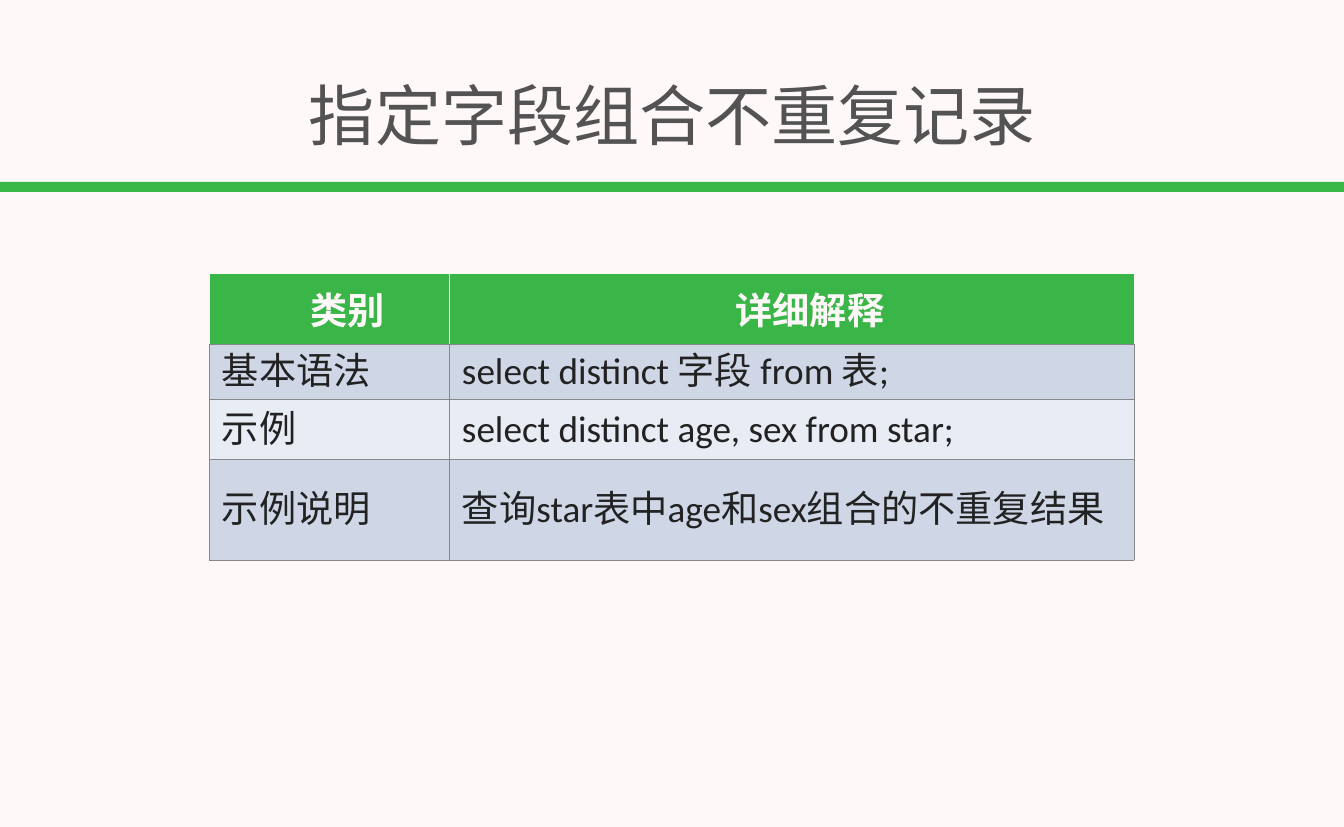
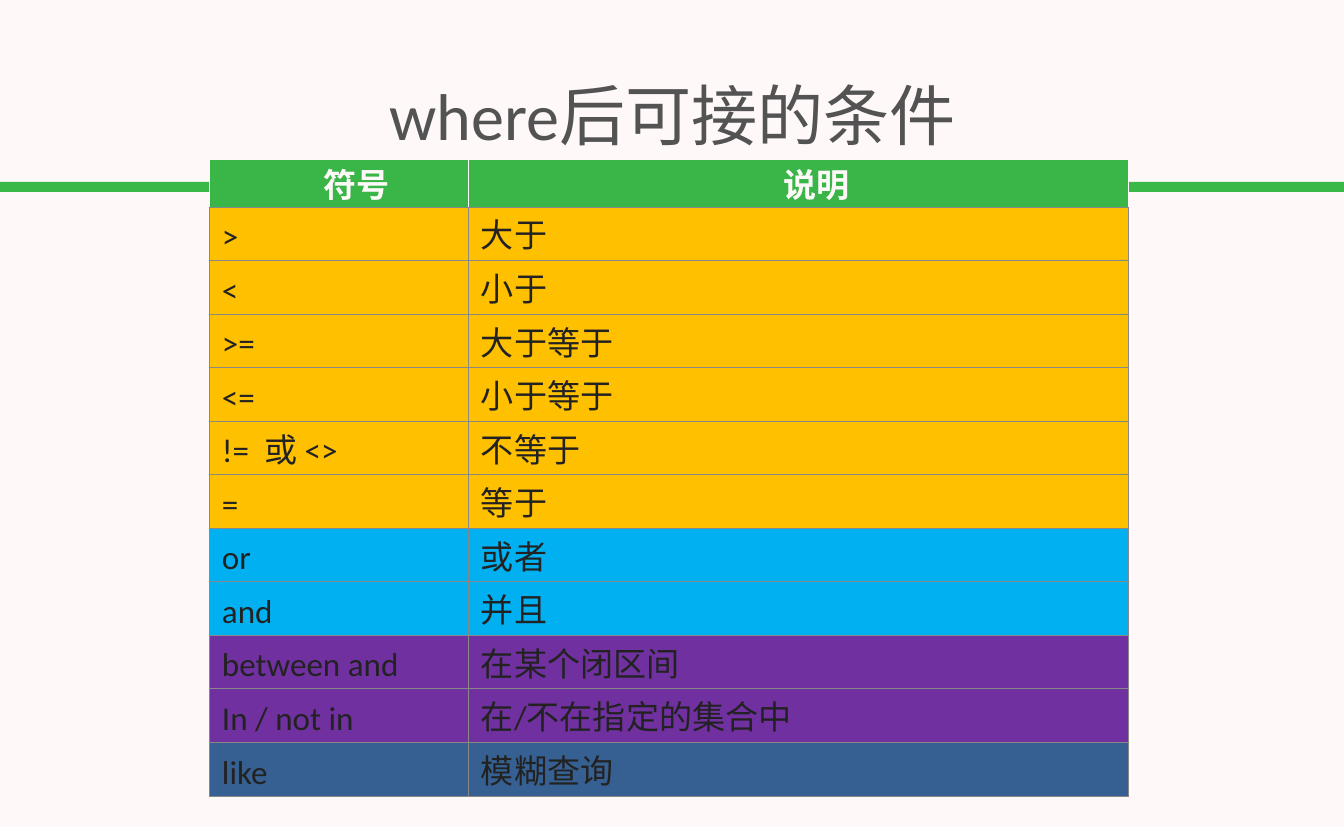
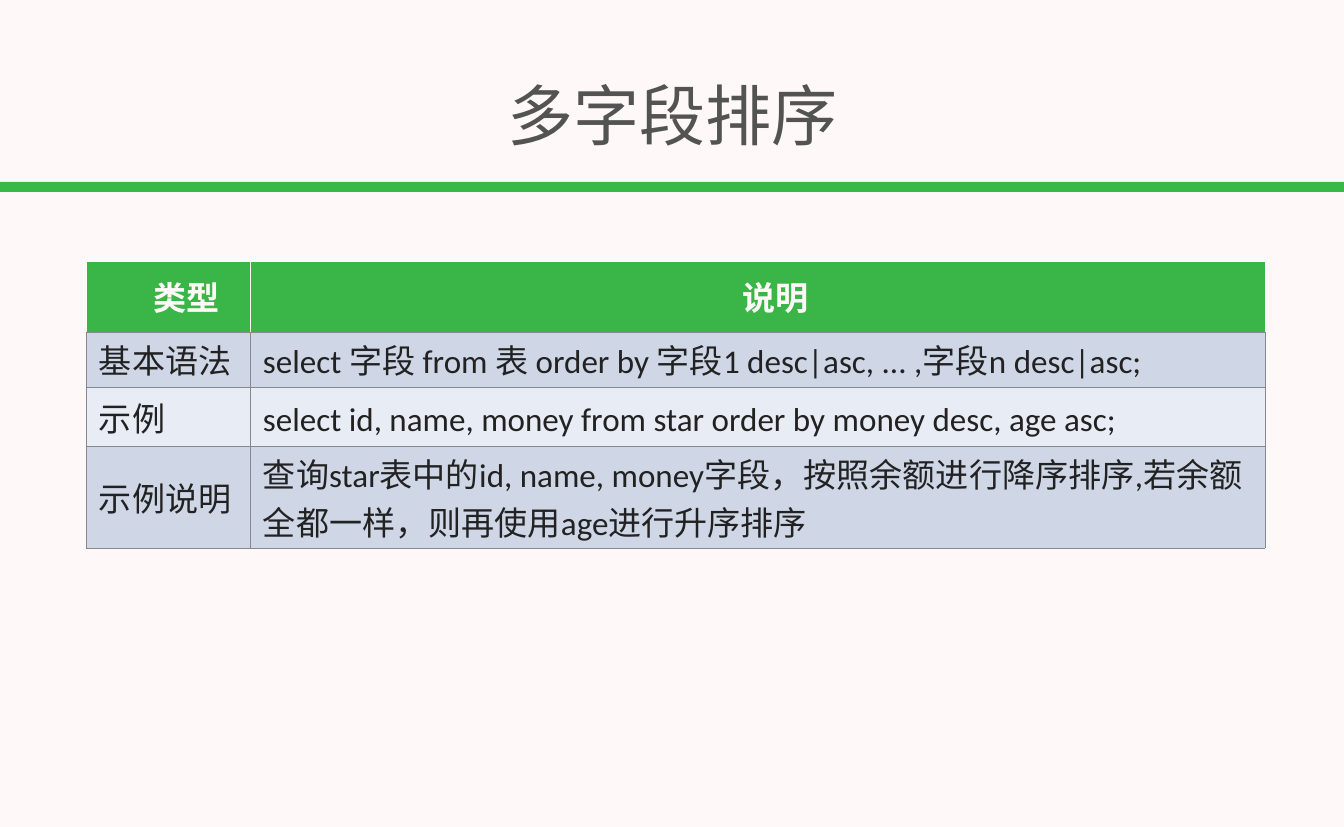
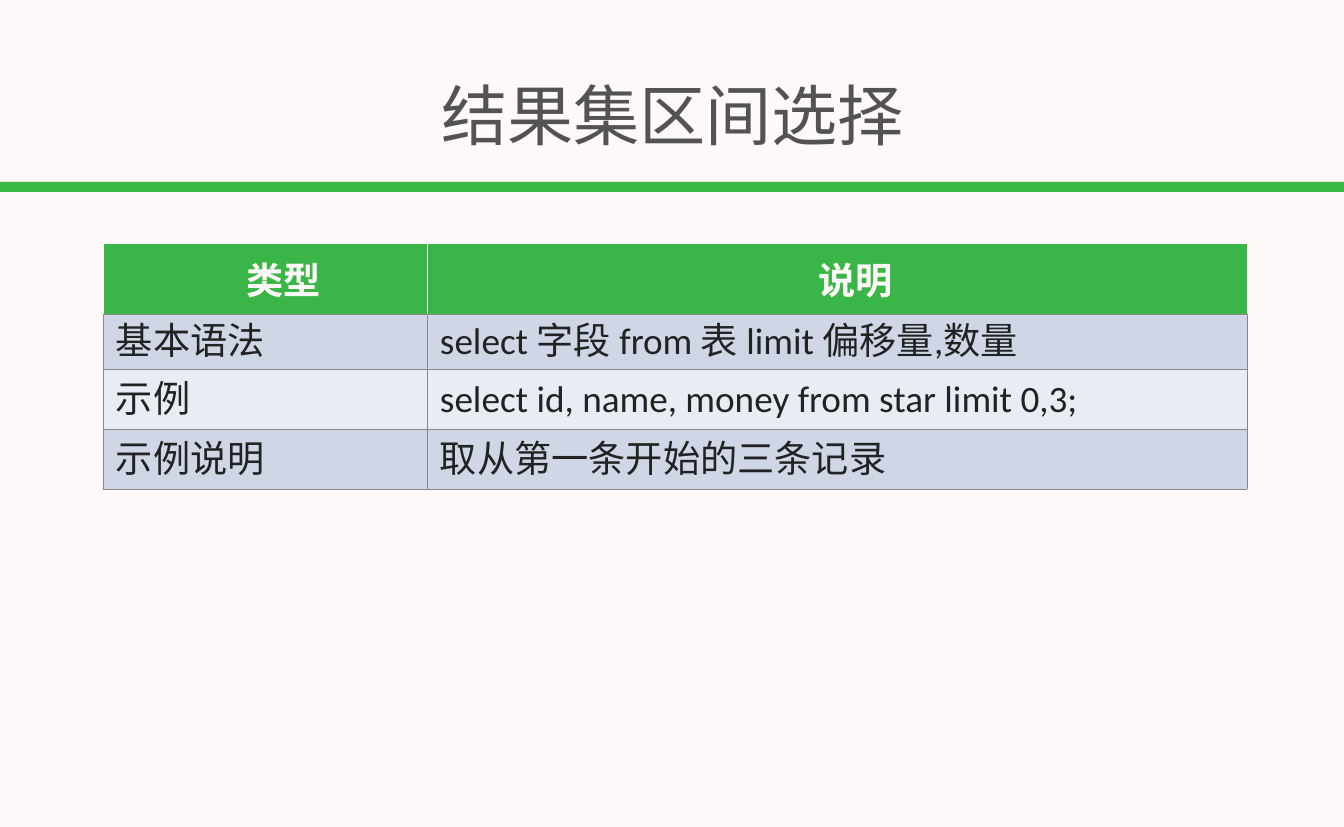
import pptx
import pptx.dml.color
import pptx.enum.shapes
import pptx.enum.text
import pptx.oxml
import pptx.oxml.ns
import pptx.util

PX = 12290
SLIDE_WIDTH, SLIDE_HEIGHT = 1344, 827
FONT = "Calibri"
COLORS = {
    "background": "FFF8F8",
    "band": "39B747",
    "title": "535353",
    "header": "39B647",
    "text": "222222",
    "border": "888888",
    "odd": "CFD7E7",
    "even": "E8ECF4",
    "comparison": "FFC000",
    "logic": "00B0F0",
    "range": "7030A0",
    "pattern": "376092",
}
BAND_BOX = (-1, 182, 1346, 10)
TITLE_BOX = (4, 61, 1337, 106)
SYNTAX_ROWS = (71, 55, 60, 60)
SYNTAX_FILLS = ("odd", "even", "odd")
CONDITION_FILLS = ("comparison",) * 6 + ("logic",) * 2 + ("range",) * 2 + ("pattern",)

SLIDES = [
    {
        "title": "指定字段组合不重复记录",
        "origin": (209, 273),
        "columns": (240, 685),
        "rows": SYNTAX_ROWS,
        "size": 36,
        "fills": SYNTAX_FILLS,
        "cells": [
            ("类别", "详细解释"),
            ("基本语法", "select distinct 字段 from 表;"),
            ("示例", "select distinct age, sex from star;"),
            ("示例说明", "查询star表中age和sex组合的不重复结果"),
        ],
    },
    {
        "title": "where后可接的条件",
        "origin": (209, 159),
        "columns": (259, 661),
        "rows": (48,) + (53,) * len(CONDITION_FILLS),
        "size": 32,
        "fills": CONDITION_FILLS,
        "cells": [
            ("符号", "说明"),
            (">", "大于"),
            ("<", "小于"),
            (">=", "大于等于"),
            ("<=", "小于等于"),
            ("!=  或 <>", "不等于"),
            ("=", "等于"),
            ("or", "或者"),
            ("and", "并且"),
            ("between and", "在某个闭区间"),
            ("In / not in", "在/不在指定的集合中"),
            ("like", "模糊查询"),
        ],
    },
    {
        "title": "多字段排序",
        "origin": (86, 261),
        "columns": (164, 1015),
        "rows": SYNTAX_ROWS,
        "size": 32,
        "fills": SYNTAX_FILLS,
        "cells": [
            ("类型", "说明"),
            ("基本语法", "select 字段 from 表 order by 字段1 desc|asc, ... ,字段n desc|asc;"),
            ("示例", "select id, name, money from star order by money desc, age asc;"),
            ("示例说明", "查询star表中的id, name, money字段，按照余额进行降序排序,若余额全都一样，则再使用age进行升序排序"),
        ],
    },
    {
        "title": "结果集区间选择",
        "origin": (103, 243),
        "columns": (324, 820),
        "rows": SYNTAX_ROWS,
        "size": 36,
        "fills": SYNTAX_FILLS,
        "cells": [
            ("类型", "说明"),
            ("基本语法", "select 字段 from 表 limit 偏移量,数量"),
            ("示例", "select id, name, money from star limit 0,3;"),
            ("示例说明", "取从第一条开始的三条记录"),
        ],
    },
]


def px(*lengths):
    """Turn px lengths into a list of EMU."""
    return [pptx.util.Emu(length * PX) for length in lengths]


def paint(fill, color):
    """Make a fill solid in a named colour."""
    fill.solid()
    fill.fore_color.rgb = pptx.dml.color.RGBColor.from_string(COLORS[color])


def style_paragraph(paragraph, size, color, bold=False):
    """Set the font of a whole paragraph."""
    font = paragraph.font
    font.name = FONT
    font.size = pptx.util.Pt(size)
    font.bold = bold
    font.color.rgb = pptx.dml.color.RGBColor.from_string(COLORS[color])


def set_margins(frame, horizontal, vertical):
    """Set the insets of a text frame or table cell in px."""
    frame.margin_left, frame.margin_right = px(horizontal, horizontal)
    frame.margin_top, frame.margin_bottom = px(vertical, vertical)


def add_band(slide, box):
    """Draw the green band below the title."""
    band = slide.shapes.add_shape(pptx.enum.shapes.MSO_SHAPE.RECTANGLE, *px(*box))
    band.shadow.inherit = False
    paint(band.fill, "band")
    band.line.fill.background()


def add_title(slide, box, text):
    """Write the centred slide title."""
    frame = slide.shapes.add_textbox(*px(*box)).text_frame
    frame.word_wrap = True
    frame.vertical_anchor = pptx.enum.text.MSO_ANCHOR.MIDDLE
    set_margins(frame, 4, 4)
    paragraph = frame.paragraphs[0]
    paragraph.text = text
    paragraph.alignment = pptx.enum.text.PP_ALIGN.CENTER
    style_paragraph(paragraph, 64, "title")


def set_borders(cell, sides, bottom):
    """Give a cell one-point borders ahead of its fill."""
    properties = cell._tc.get_or_add_tcPr()
    namespace = pptx.oxml.ns.nsdecls("a")
    borders = (("lnL", sides), ("lnR", sides), ("lnT", sides), ("lnB", bottom))
    for index, (tag, color) in enumerate(borders):
        properties.insert(index, pptx.oxml.parse_xml(
            f'<a:{tag} {namespace} w="12700"><a:solidFill>'
            f'<a:srgbClr val="{COLORS[color]}"/></a:solidFill></a:{tag}>'))


def fill_cell(cell, text, size, color):
    """Write and style a cell; a header is centred with an indent."""
    header = color == "header"
    paragraph = cell.text_frame.paragraphs[0]
    paragraph.text = text
    cell.vertical_anchor = pptx.enum.text.MSO_ANCHOR.MIDDLE
    paint(cell.fill, color)
    if header:
        set_margins(cell, 0, 0)
        paragraph.alignment = pptx.enum.text.PP_ALIGN.CENTER
        paragraph._p.get_or_add_pPr().set("indent", str(37 * PX))
    else:
        set_margins(cell, 13, 3)
        paragraph.line_spacing = pptx.util.Pt(46)
    style_paragraph(paragraph, size, "background" if header else "text", header)
    set_borders(cell, "background" if header else "border", "border")


def add_grid(slide, origin, columns, rows, cells, fills, size):
    """Place a table with a green header row and coloured body rows."""
    box = px(*origin, sum(columns), sum(rows))
    table = slide.shapes.add_table(len(rows), len(columns), *box).table
    table.first_row = table.horz_banding = False
    for column, width in zip(table.columns, px(*columns)):
        column.width = width
    for row, height, texts, color in zip(table.rows, px(*rows), cells, ("header", *fills)):
        row.height = height
        for cell, text in zip(row.cells, texts):
            fill_cell(cell, text, size, color)


def add_table_slide(presentation, title, **grid):
    """Add a slide with band, title and table."""
    slide = presentation.slides.add_slide(presentation.slide_layouts[6])
    add_band(slide, BAND_BOX)
    add_title(slide, TITLE_BOX, title)
    add_grid(slide, **grid)


def main():
    """Build and save the presentation."""
    presentation = pptx.Presentation()
    presentation.slide_width, presentation.slide_height = px(SLIDE_WIDTH, SLIDE_HEIGHT)
    paint(presentation.slide_master.background.fill, "background")
    for content in SLIDES:
        add_table_slide(presentation, **content)
    presentation.save("out.pptx")


if __name__ == "__main__":
    main()
